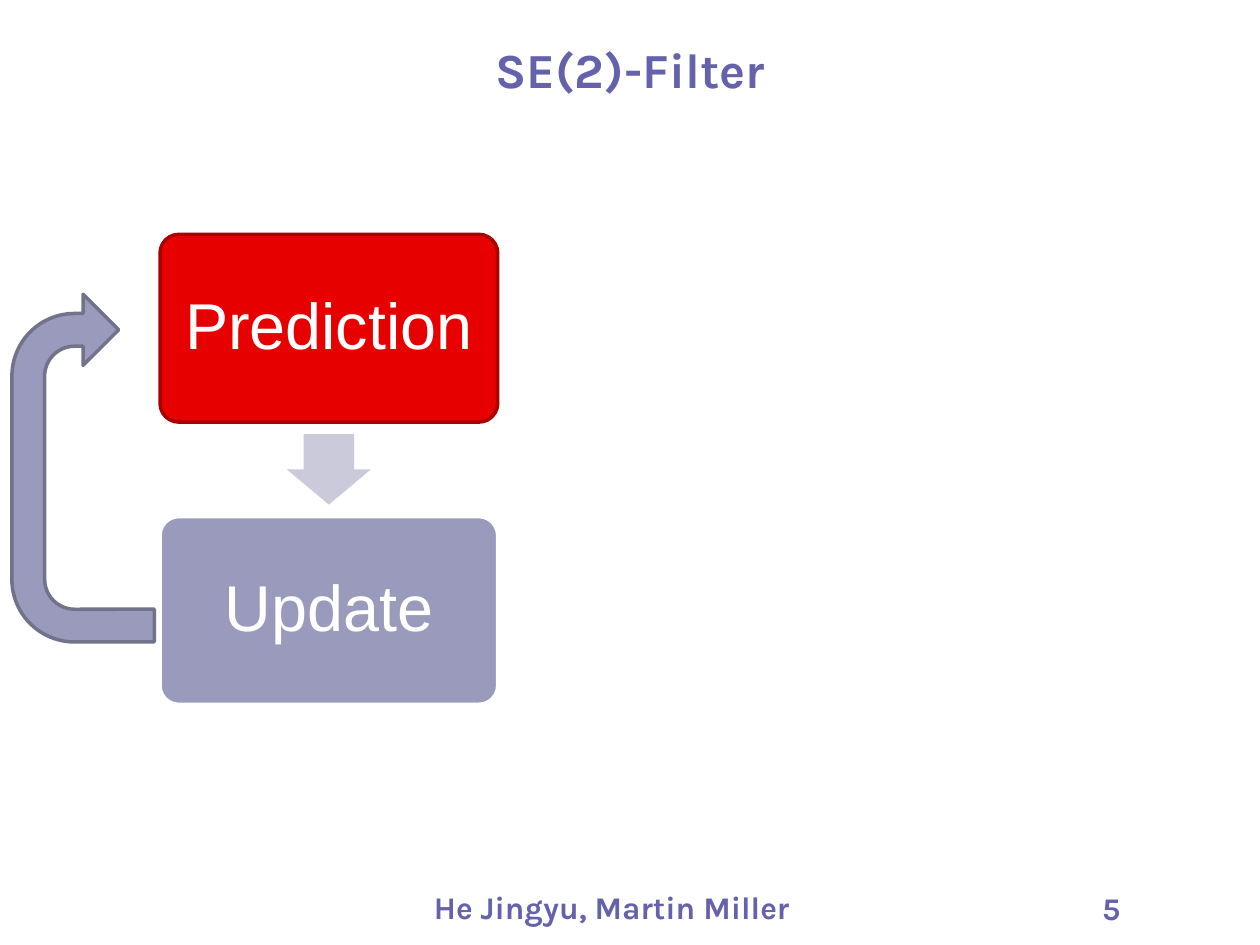
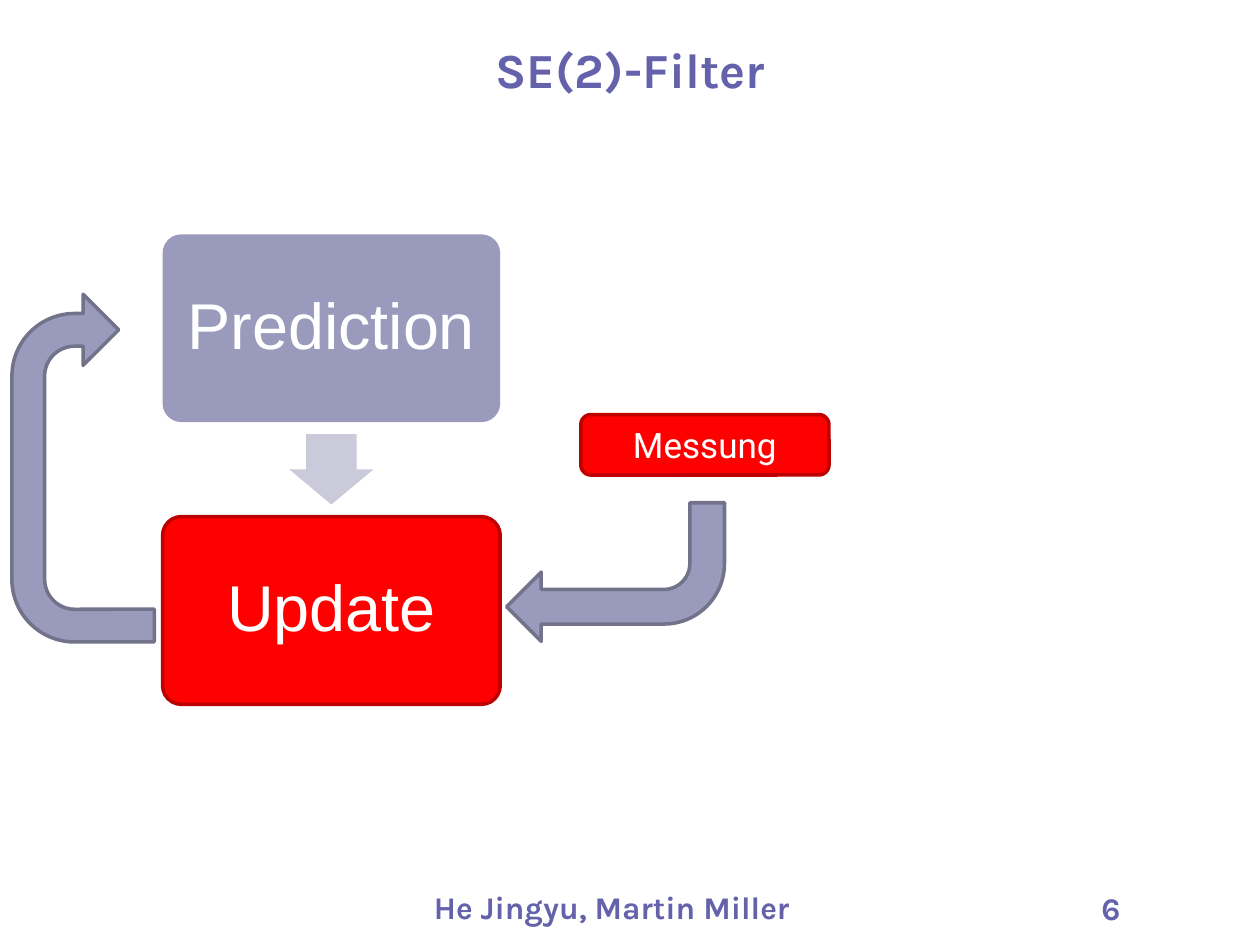
from pptx import Presentation
from pptx.dml.color import RGBColor
from pptx.enum.shapes import MSO_SHAPE
from pptx.enum.text import MSO_ANCHOR, MSO_AUTO_SIZE, PP_ALIGN
from pptx.util import Inches, Pt

VIOLET = "6562AC"
WHITE = "FFFFFF"
MAUVE = "9A9ABC"
SLATE = "72728B"
PALE = "CACADA"
RED = "FF0000"
DARK = "BD0000"


def color(code):
    return RGBColor.from_string(code)


class Deck:
    def __init__(self):
        self.prs = Presentation()
        self.prs.slide_width = Inches(10)
        self.prs.slide_height = Inches(7.5)
        self.slide = None

    def style(self, frame, text, size, font, tint, align=PP_ALIGN.CENTER, bold=False):
        frame.word_wrap = True
        frame.text = text
        para = frame.paragraphs[0]
        para.alignment = align
        para.font.size = Pt(size)
        para.font.name = font
        para.font.bold = bold
        para.font.color.rgb = color(tint)
        return para

    def start(self, title, number):
        self.slide = self.prs.slides.add_slide(self.prs.slide_layouts[5])
        head = self.slide.shapes.title
        head.left, head.top = Inches(0), Inches(0.21)
        head.width, head.height = Inches(10), Inches(0.63)
        frame = head.text_frame
        frame.auto_size = MSO_AUTO_SIZE.NONE
        frame.vertical_anchor = MSO_ANCHOR.MIDDLE
        self.style(frame, title, 28, "Karla", VIOLET, bold=True).line_spacing = 1.1
        self.label(1.51, 7, 6.69, 0.4, "He Jingyu, Martin Miller", PP_ALIGN.CENTER)
        self.label(8.15, 7.01, 0.84, 0.52, str(number), PP_ALIGN.RIGHT)

    def label(self, x, y, w, h, text, align):
        box = self.slide.shapes.add_textbox(Inches(x), Inches(y), Inches(w), Inches(h))
        self.style(box.text_frame, text, 18, "Karla", VIOLET, align, True)

    def shape(self, kind, x, y, w, h, fill, line=None, turn=0, adjust=()):
        item = self.slide.shapes.add_shape(kind, Inches(x), Inches(y), Inches(w), Inches(h))
        item.shadow.inherit = False
        item.rotation = turn
        item.fill.solid()
        item.fill.fore_color.rgb = color(fill)
        if line:
            item.line.color.rgb = color(line)
            item.line.width = Pt(2)
        else:
            item.line.fill.background()
        for spot, value in enumerate(adjust):
            item.adjustments[spot] = value
        return item

    def step(self, text, x, y, fill, line):
        box = self.shape(MSO_SHAPE.ROUNDED_RECTANGLE, x, y, 2.68, 1.49, fill, line, adjust=[0.1])
        frame = box.text_frame
        frame.margin_left = frame.margin_right = Inches(0.15)
        self.style(frame, text, 37, "Arial", WHITE).line_spacing = 0.9

    def cycle(self, x, first, second):
        self.step("Prediction", x, 1.86, *first)
        self.shape(MSO_SHAPE.RIGHT_ARROW, x + 1.06, 3.39, 0.56, 0.67, PALE,
                   turn=90, adjust=[0.6, 0.5])
        self.step("Update", x, 4.1, *second)
        self.shape(MSO_SHAPE.U_TURN_ARROW, -0.72, 3.15, 2.76, 1.13, MAUVE, SLATE,
                   turn=270, adjust=[0.23, 0.25, 0.25, 0.44, 0.75])

    def sensor(self, text):
        box = self.shape(MSO_SHAPE.ROUNDED_RECTANGLE, 4.61, 3.29, 1.97, 0.48, RED, DARK)
        self.style(box.text_frame, text, 20, "Roboto", WHITE)
        self.shape(MSO_SHAPE.BENT_ARROW, 4.02, 3.99, 1.73, 1.1, MAUVE, SLATE, turn=180)


def main():
    deck = Deck()
    deck.start("SE(2)-Filter", 5)
    deck.cycle(1.27, ("E70000", "AB0000"), (MAUVE, WHITE))
    deck.start("SE(2)-Filter", 6)
    deck.sensor("Messung")
    deck.cycle(1.29, (MAUVE, None), (RED, DARK))
    deck.prs.save("out.pptx")


if __name__ == "__main__":
    main()
